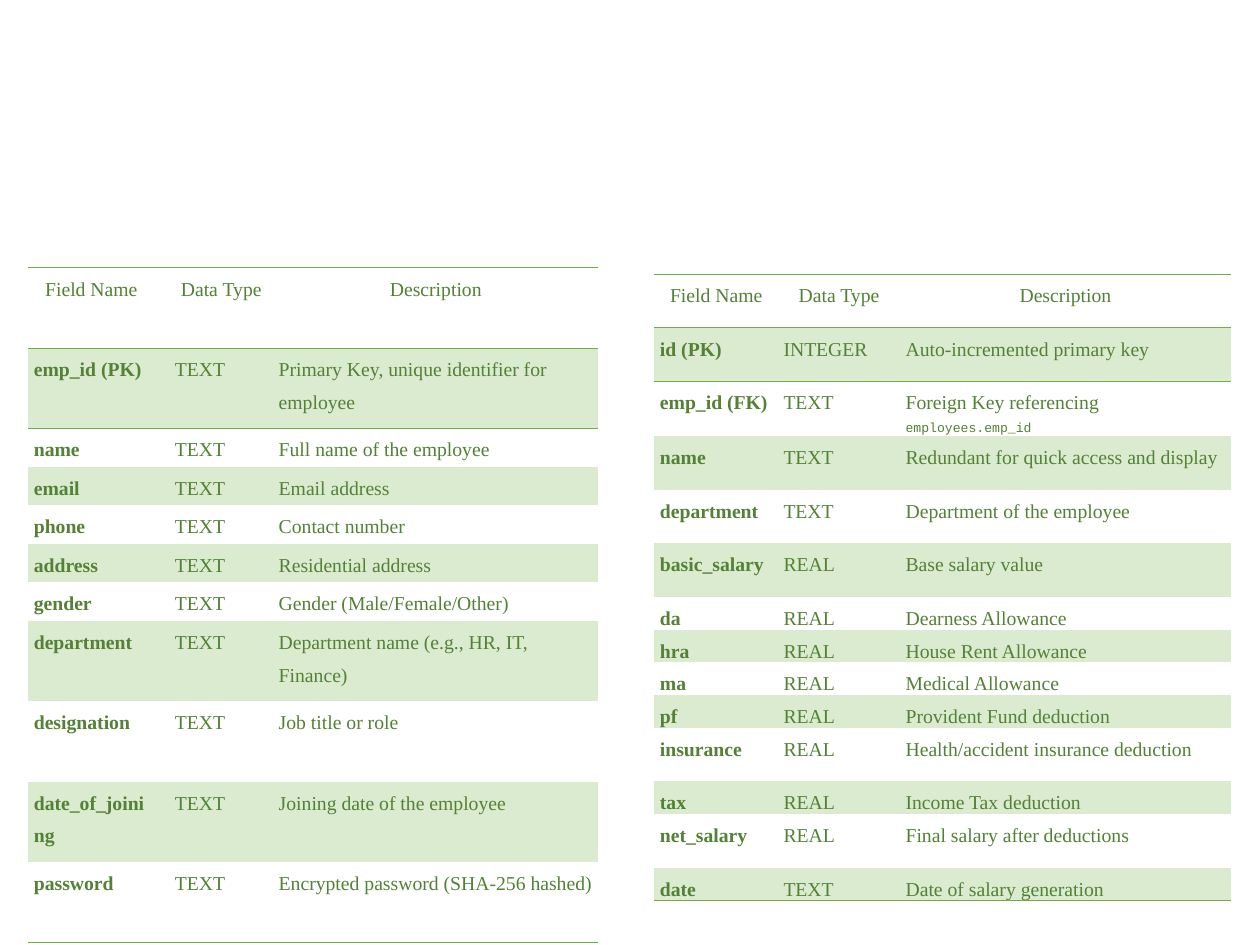
from dataclasses import dataclass

from lxml import etree
from pptx import Presentation
from pptx import util as u
from pptx.dml.color import RGBColor
from pptx.enum import text
from pptx.oxml import ns

SLIDE_WIDTH, SLIDE_HEIGHT = u.Inches(16), u.Inches(12)
INK, BAND, RULE = "538135", "DBEBD0", "70AD47"
NO_STYLE = "{2D5ABB26-0587-4C30-8999-92F81FD0307C}"
CELL_FORMAT = {
    "margin_left": u.Inches(0.07),
    "margin_right": u.Inches(0.07),
    "margin_top": 0,
    "margin_bottom": 0,
    "vertical_anchor": text.MSO_ANCHOR.TOP,
}
BODY_FONT = {"name": "Times New Roman", "size": u.Pt(18)}
CODE_FONT = {"name": "Courier New", "size": u.Pt(12)}


@dataclass(frozen=True)
class Column:
    heading: str
    width: float  # percent of the slide's width


@dataclass(frozen=True)
class Field:
    name: str
    data_type: str
    description: str
    tall: bool = False
    code: str = ""


@dataclass(frozen=True)
class Schema:
    """A database table; places and heights are percents of the slide."""
    left: float
    top: float
    tall: float
    short: float
    columns: list[Column]
    fields: list[Field]


EMPLOYEES = Schema(
    2.25, 28.33, 8.5, 4.08,
    [Column("Field Name", 10), Column("", 1.19),
     Column("Data Type", 8.25), Column("Description", 25.81)],
    [
        Field("emp_id (PK)", "TEXT", "Primary Key, unique identifier for employee", True),
        Field("name", "TEXT", "Full name of the employee"),
        Field("email", "TEXT", "Email address"),
        Field("phone", "TEXT", "Contact number"),
        Field("address", "TEXT", "Residential address"),
        Field("gender", "TEXT", "Gender (Male/Female/Other)"),
        Field("department", "TEXT", "Department name (e.g., HR, IT, Finance)", True),
        Field("designation", "TEXT", "Job title or role", True),
        Field("date_of_joining", "TEXT", "Joining date of the employee", True),
        Field("password", "TEXT", "Encrypted password (SHA-256 hashed)", True),
    ],
)
SALARIES = Schema(
    51.94, 29, 5.67, 2.67,
    [Column("Field Name", 9.81), Column("Data Type", 9.69), Column("Description", 26.25)],
    [
        Field("id (PK)", "INTEGER", "Auto-incremented primary key", True),
        Field("emp_id (FK)", "TEXT", "Foreign Key referencing ", True, "employees.emp_id"),
        Field("name", "TEXT", "Redundant for quick access and display", True),
        Field("department", "TEXT", "Department of the employee", True),
        Field("basic_salary", "REAL", "Base salary value", True),
        Field("da", "REAL", "Dearness Allowance"),
        Field("hra", "REAL", "House Rent Allowance"),
        Field("ma", "REAL", "Medical Allowance"),
        Field("pf", "REAL", "Provident Fund deduction"),
        Field("insurance", "REAL", "Health/accident insurance deduction", True),
        Field("tax", "REAL", "Income Tax deduction"),
        Field("net_salary", "REAL", "Final salary after deductions", True),
        Field("date", "TEXT", "Date of salary generation"),
    ],
)


def across(percent: float) -> int:
    return round(SLIDE_WIDTH * percent / 100)


def down(percent: float) -> int:
    return round(SLIDE_HEIGHT * percent / 100)


def colour(value: str) -> RGBColor:
    return RGBColor.from_string(value)


def add_rule(cell, side: str) -> None:
    """Draw a border on the top (lnT) or bottom (lnB) of a cell."""
    line = etree.SubElement(cell._tc.get_or_add_tcPr(), ns.qn(f"a:{side}"), w=str(u.Pt(1)))
    fill = etree.SubElement(line, ns.qn("a:solidFill"))
    etree.SubElement(fill, ns.qn("a:srgbClr"), val=RULE)


def add_run(paragraph, words: str, font: dict, bold: bool = False) -> None:
    run = paragraph.add_run()
    run.text = words
    for attribute, value in {**font, "bold": bold}.items():
        setattr(run.font, attribute, value)
    run.font.color.rgb = colour(INK)


def format_cell(cell, row: int, last_row: int) -> None:
    for attribute, value in CELL_FORMAT.items():
        setattr(cell, attribute, value)
    if row <= 1:
        add_rule(cell, "lnT")
    if row in (0, last_row):
        add_rule(cell, "lnB")
    if row % 2:
        cell.fill.solid()
        cell.fill.fore_color.rgb = colour(BAND)
    else:
        cell.fill.background()


def cell_words(column: Column, field: Field) -> str:
    return {"Field Name": field.name, "Data Type": field.data_type,
            "Description": field.description}.get(column.heading, "")


def add_schema(slide, schema: Schema) -> None:
    heights = [down(schema.tall)]
    heights += [down(schema.tall if field.tall else schema.short) for field in schema.fields]
    widths = [across(column.width) for column in schema.columns]
    grid = slide.shapes.add_table(
        len(heights), len(widths), across(schema.left), down(schema.top),
        sum(widths), sum(heights)).table
    grid._tbl.tblPr.find(ns.qn("a:tableStyleId")).text = NO_STYLE
    for grid_row, height in zip(grid.rows, heights):
        grid_row.height = height
    for index, (column, width) in enumerate(zip(schema.columns, widths)):
        grid.columns[index].width = width
        for row, field in enumerate([None, *schema.fields]):
            cell = grid.cell(row, index)
            format_cell(cell, row, len(schema.fields))
            if not column.heading:
                continue
            paragraph = cell.text_frame.paragraphs[0]
            paragraph.line_spacing = 1.5
            if field is None:
                paragraph.alignment = text.PP_ALIGN.CENTER
                add_run(paragraph, column.heading, BODY_FONT)
                continue
            add_run(paragraph, cell_words(column, field), BODY_FONT,
                    bold=column.heading == "Field Name")
            if field.code and column.heading == "Description":
                add_run(paragraph, field.code, CODE_FONT)


def main() -> None:
    deck = Presentation()
    deck.slide_width, deck.slide_height = SLIDE_WIDTH, SLIDE_HEIGHT
    slide = deck.slides.add_slide(deck.slide_layouts[6])
    for schema in (EMPLOYEES, SALARIES):
        add_schema(slide, schema)
    deck.save("out.pptx")


if __name__ == "__main__":
    main()
